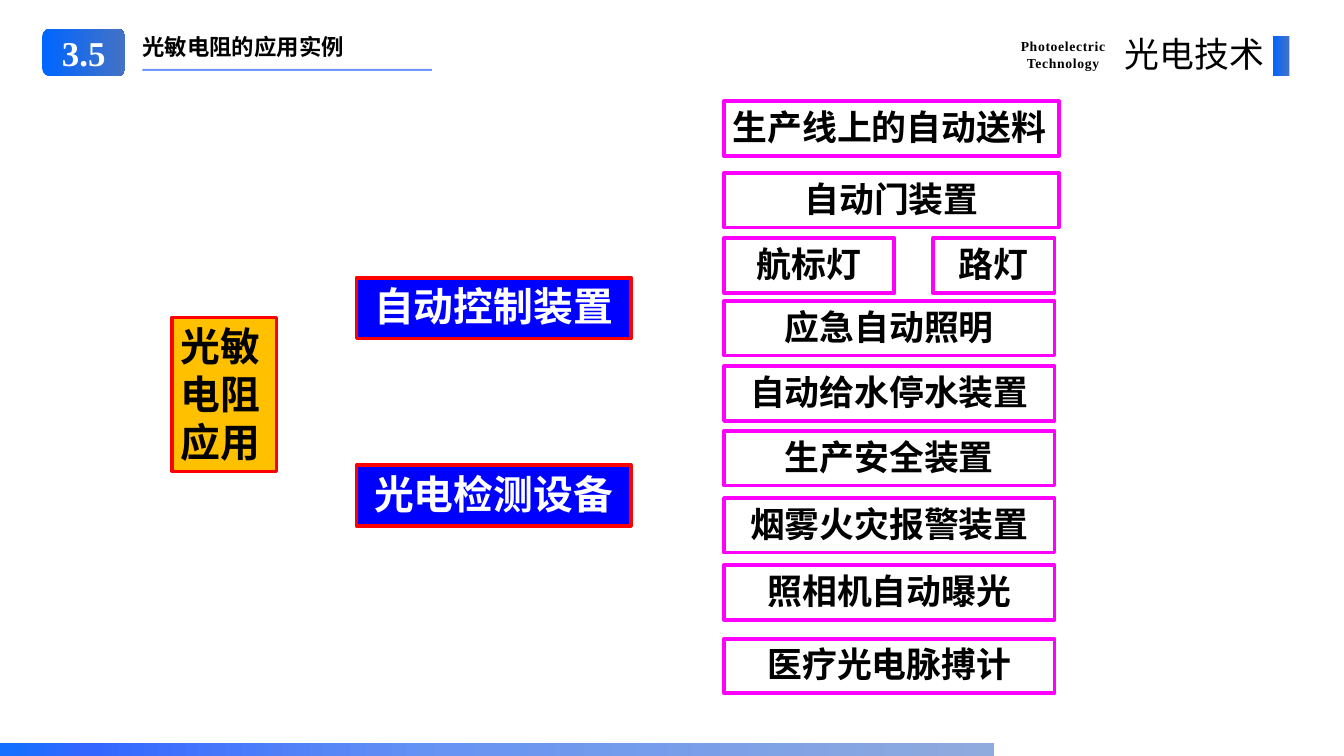
from dataclasses import dataclass

from lxml import etree
from pptx import Presentation
from pptx.dml.color import RGBColor
from pptx.enum.shapes import MSO_CONNECTOR, MSO_SHAPE
from pptx.enum.text import MSO_ANCHOR, PP_ALIGN
from pptx.oxml.ns import qn
from pptx.util import Inches, Pt

RECT, ROUND = MSO_SHAPE.RECTANGLE, MSO_SHAPE.ROUNDED_RECTANGLE
LEFT, CENTER, RIGHT = PP_ALIGN.LEFT, PP_ALIGN.CENTER, PP_ALIGN.RIGHT
TOP, MIDDLE = MSO_ANCHOR.TOP, MSO_ANCHOR.MIDDLE
SANS, SERIF = "Noto Sans CJK SC", "Times New Roman"
COLORS = {
    "black": "000000", "white": "FFFFFF", "amber": "FFC000", "red": "FF0000",
    "blue": "0000FF", "magenta": "FF00FF", "rule": "3366FF",
}
BADGE_STOPS = [(0, "0066FF"), (100, "4472C4")]
FOOTER_STOPS = [(0, "1271FE"), (9, "3366FF"), (45, "6895F3"), (100, "8FAADC")]


@dataclass
class TextStyle:
    size: float
    color: str = "black"
    font: str = SANS
    bold: bool = True
    align: PP_ALIGN = CENTER
    anchor: MSO_ANCHOR = TOP
    line_points: float | None = None
    tracking: float = 0


@dataclass
class Node:
    lines: list[str]
    left: float
    top: float
    width: float
    height: float
    style: TextStyle
    line: str
    line_width: float
    fill: str | None = None


def rgb(name: str) -> RGBColor:
    return RGBColor.from_string(COLORS[name])


def write(box, lines: list[str], style: TextStyle) -> None:
    frame = box.text_frame
    frame.word_wrap = True
    frame.vertical_anchor = style.anchor
    frame.text = "\n".join(lines)
    for para in frame.paragraphs:
        para.alignment = style.align
        if style.line_points:
            para.line_spacing = Pt(style.line_points)
        for span in para.runs:
            formats = {"size": Pt(style.size), "bold": style.bold, "name": style.font}
            for name, value in formats.items():
                setattr(span.font, name, value)
            span.font.color.rgb = rgb(style.color)
            properties = span._r.get_or_add_rPr()
            if style.tracking:
                properties.set("spc", str(round(style.tracking * 100)))
            etree.SubElement(properties, qn("a:ea"), typeface=style.font)


def add_panel(page, kind: MSO_SHAPE, left: float, top: float, width: float, height: float):
    panel = page.shapes.add_shape(kind, Inches(left), Inches(top), Inches(width), Inches(height))
    panel.shadow.inherit = False
    return panel


def add_node(page, node: Node) -> None:
    panel = add_panel(page, RECT, node.left, node.top, node.width, node.height)
    if node.fill:
        panel.fill.solid()
        panel.fill.fore_color.rgb = rgb(node.fill)
    else:
        panel.fill.background()
    panel.line.color.rgb = rgb(node.line)
    panel.line.width = Pt(node.line_width)
    write(panel, node.lines, node.style)


def add_label(page, lines: list[str], left: float, top: float, width: float,
              height: float, style: TextStyle) -> None:
    box = page.shapes.add_textbox(Inches(left), Inches(top), Inches(width), Inches(height))
    write(box, lines, style)


def fill_gradient(panel, stops: list[tuple[int, str]]) -> None:
    """Fill left to right with stops of (percent, colour) and drop the outline."""
    panel.line.fill.background()
    panel.fill.gradient()
    panel.fill.gradient_angle = 0
    stop_list = panel.fill._fill._gradFill.find(qn("a:gsLst"))
    for stop in list(stop_list):
        stop_list.remove(stop)
    for percent, color in stops:
        stop = etree.SubElement(stop_list, qn("a:gs"), pos=str(percent * 1000))
        etree.SubElement(stop, qn("a:srgbClr"), val=color)


def add_title_rule(page) -> None:
    rule = page.shapes.add_connector(
        MSO_CONNECTOR.STRAIGHT, Inches(1.59), Inches(0.78), Inches(4.82), Inches(0.78))
    rule.line.color.rgb = rgb("rule")
    rule.line.width = Pt(1.5)
    properties = rule._element.spPr
    color = properties.find(".//" + qn("a:srgbClr"))
    etree.SubElement(color, qn("a:alpha"), val="70000")
    etree.SubElement(properties, qn("a:effectLst"))


def add_header(page) -> None:
    add_label(page, ["光敏电阻的应用实例"], 1.49, 0.32, 3.5, 0.4, TextStyle(18, align=LEFT))
    add_label(page, ["Photoelectric", "Technology"], 11.26, 0.36, 1.21, 0.49,
              TextStyle(11, font=SERIF, line_points=14, tracking=0.5))
    fill_gradient(add_panel(page, RECT, 14.21, 0.4, 0.18, 0.45), BADGE_STOPS)
    badge = add_panel(page, ROUND, 0.47, 0.32, 0.93, 0.53)
    fill_gradient(badge, BADGE_STOPS)
    write(badge, ["3.5"], TextStyle(28, "white", SERIF, anchor=MIDDLE))
    add_title_rule(page)
    add_label(page, ["光电技术"], 12.31, 0.32, 1.9, 0.57,
              TextStyle(28, bold=False, align=RIGHT, tracking=0.2))


def add_applications(page) -> None:
    root_style = TextStyle(32, align=LEFT, line_points=38.6)
    add_node(page, Node(["光敏", "电阻", "应用"], 1.92, 3.54, 1.17, 1.72,
                        root_style, "red", 2.5, "amber"))

    group_style = TextStyle(32, "white")
    for text, top in [("自动控制装置", 3.1), ("光电检测设备", 5.19)]:
        add_node(page, Node([text], 3.98, top, 3.06, 0.68, group_style, "red", 3, "blue"))

    left, wide, narrow = 8.08, 3.74, 3.69
    examples = [
        ("生产线上的自动送料", left, 1.13, wide, LEFT),
        ("自动门装置", left, 1.93, wide, CENTER),
        ("航标灯", left, 2.66, 1.9, CENTER),
        ("路灯", 10.41, 2.66, 1.36, CENTER),
        ("应急自动照明", left, 3.36, narrow, CENTER),
        ("自动给水停水装置", left, 4.09, narrow, CENTER),
        ("生产安全装置", left, 4.81, narrow, CENTER),
        ("烟雾火灾报警装置", left, 5.56, narrow, CENTER),
        ("照相机自动曝光", left, 6.31, narrow, CENTER),
        ("医疗光电脉搏计", left, 7.13, narrow, CENTER),
    ]
    for text, x, top, width, align in examples:
        style = TextStyle(28, align=align)
        add_node(page, Node([text], x, top, width, 0.61, style, "magenta", 3))


def main() -> None:
    deck = Presentation()
    deck.slide_width, deck.slide_height = Inches(15), Inches(8.44)
    page = deck.slides.add_slide(deck.slide_layouts[6])
    add_applications(page)
    add_header(page)
    fill_gradient(add_panel(page, RECT, 0, 8.3, 11.09, 0.14), FOOTER_STOPS)
    deck.save("out.pptx")


if __name__ == "__main__":
    main()
